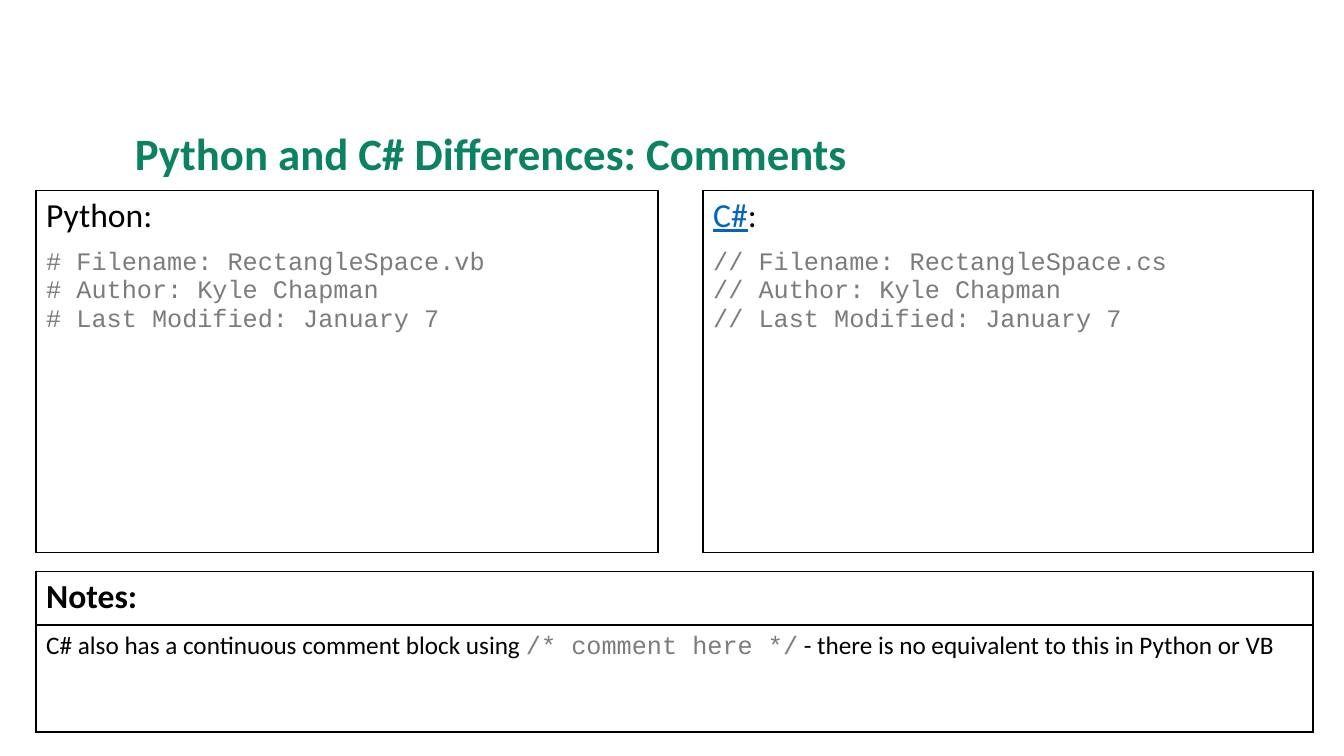
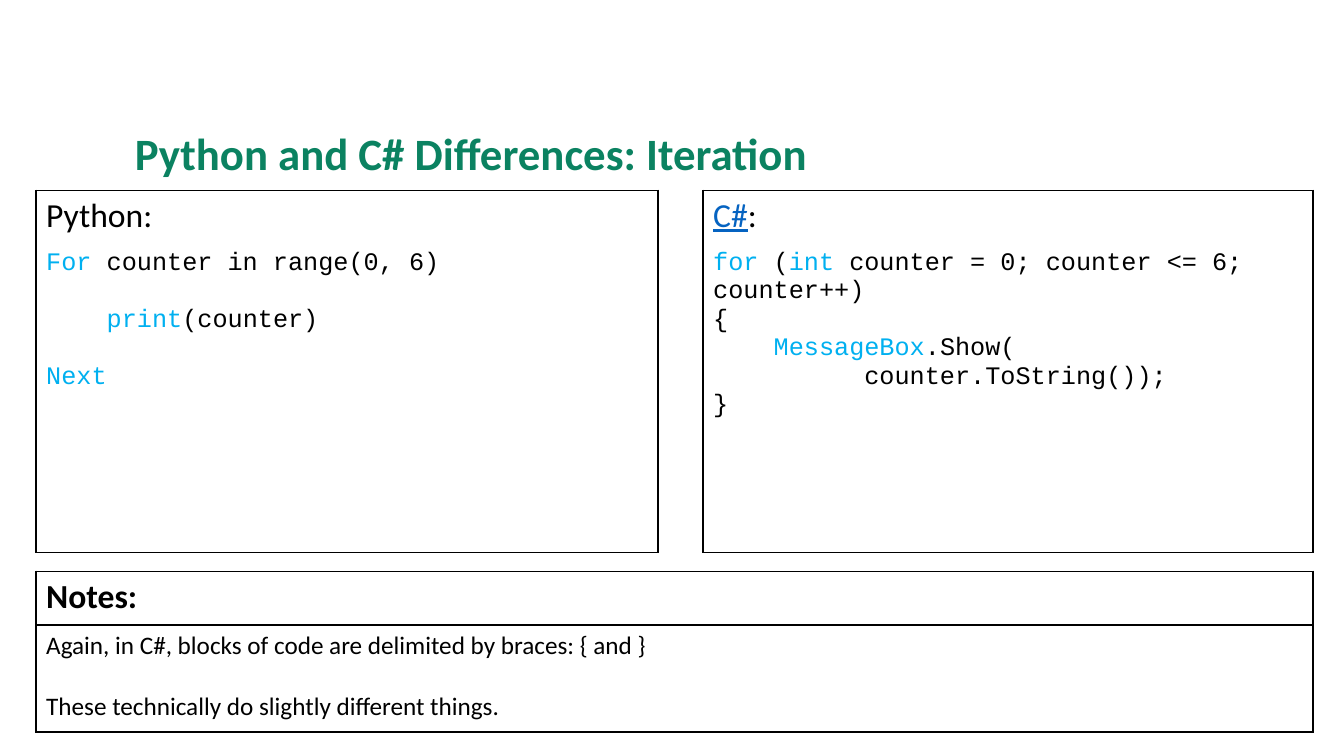
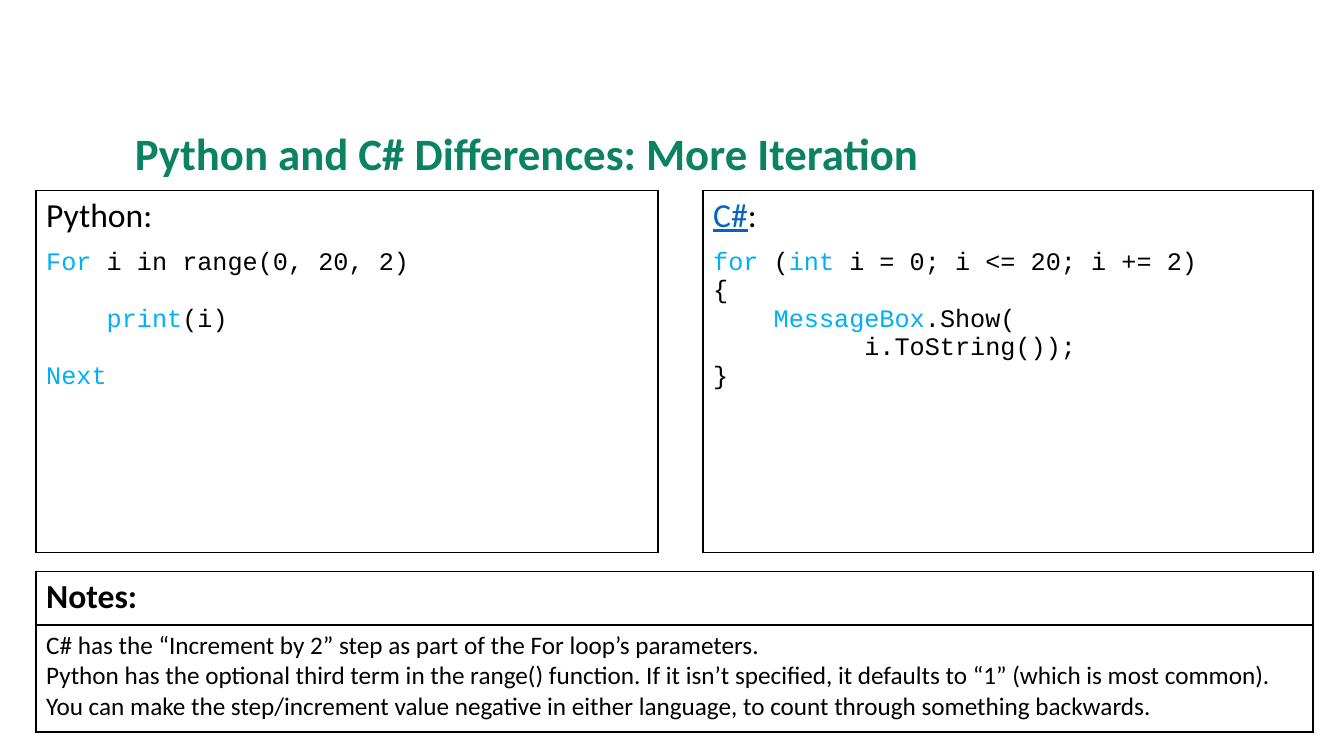
"""Build three slides that compare Python and C# side by side."""
import collections

import lxml.etree
import pptx
import pptx.dml.color
import pptx.oxml.ns
import pptx.util

TextStyle = collections.namedtuple("TextStyle", "font size color bold underline", defaults=(False, False))

STYLES = {
    "title": TextStyle("Calibri", 32, "0B8261", bold=True),
    "heading": TextStyle("Calibri", 24, "000000"),
    "strong": TextStyle("Calibri", 24, "000000", bold=True),
    "link": TextStyle("Calibri", 24, "0563C1", underline=True),
    "note": TextStyle("Calibri", 18, "000000"),
    "code": TextStyle("Courier New", 18, "000000"),
    "keyword": TextStyle("Courier New", 18, "00B0F0"),
    "comment": TextStyle("Courier New", 18, "7C7C7C"),
}
COLUMN_WIDTHS = (15.67, 1.14, 15.37)
ROW_HEIGHTS = (1.35, 7.77, 0.48, 1.35, 2.69)
CELL_EDGES = (
    ("LRT", "LR", "LRT"),
    ("LRB", "LR", "LRB"),
    ("TB", "B", "TB"),
    ("LRT", "T", "RT"),
    ("LRB", "B", "RB"),
)
NO_GRID_STYLE = "{2D5ABB26-0587-4C30-8999-92F81FD0307C}"
CODE_LINE = 20.4
NOTE_LINE = 22


def rgb(value):
    return pptx.dml.color.RGBColor.from_string(value)


def qualified(tag):
    return pptx.oxml.ns.qn(tag)


class ComparisonDeck:
    def __init__(self):
        self.presentation = pptx.Presentation()
        self.presentation.slide_width = pptx.util.Cm(33.87)
        self.presentation.slide_height = pptx.util.Cm(19.05)
        self.slide = None

    def add_slide(self, title):
        self.slide = self.presentation.slides.add_slide(self.presentation.slide_layouts[6])
        box = self.slide.shapes.add_textbox(*map(pptx.util.Cm, (3.15, 3.05, 27.03, 2.49)))
        box.text_frame.word_wrap = True
        self.add_text(box.text_frame, [[(title, "title")]])

    def add_text(self, frame, paragraphs, gap=0):
        for index, runs in enumerate(paragraphs):
            paragraph = frame.add_paragraph() if index else frame.paragraphs[0]
            if index and gap:
                paragraph.space_before = pptx.util.Pt(gap)
            for text, name in runs:
                style = STYLES[name]
                run = paragraph.add_run()
                run.text = text
                run.font.name = style.font
                run.font.size = pptx.util.Pt(style.size)
                run.font.bold = style.bold
                run.font.underline = style.underline
                run.font.color.rgb = rgb(style.color)

    def format_cell(self, cell, edges):
        properties = cell._tc.get_or_add_tcPr()
        for edge in edges:
            line = lxml.etree.SubElement(properties, qualified("a:ln" + edge), w=str(pptx.util.Pt(1.5)))
            fill = lxml.etree.SubElement(line, qualified("a:solidFill"))
            lxml.etree.SubElement(fill, qualified("a:srgbClr"), val="000000")
        cell.fill.background()

    def add_comparison(self, python_code, csharp_code, notes, python_gap=0, notes_gap=0):
        frame = self.slide.shapes.add_table(
            len(ROW_HEIGHTS), len(COLUMN_WIDTHS), pptx.util.Cm(0.91), pptx.util.Cm(4.8),
            pptx.util.Cm(sum(COLUMN_WIDTHS)), pptx.util.Cm(sum(ROW_HEIGHTS)))
        table = frame.table
        table.first_row = table.horz_banding = False
        table._tbl.tblPr.find(qualified("a:tableStyleId")).text = NO_GRID_STYLE
        for column, width in zip(table.columns, COLUMN_WIDTHS):
            column.width = pptx.util.Cm(width)
        for row, height in zip(table.rows, ROW_HEIGHTS):
            row.height = pptx.util.Cm(height)
        for row in (3, 4):
            table.cell(row, 0).merge(table.cell(row, 2))
        contents = {
            (0, 0): ([[("Python:", "heading")]], 0),
            (0, 2): ([[("C#", "link"), (":", "heading")]], 0),
            (1, 0): (python_code, python_gap),
            (1, 2): (csharp_code, 0),
            (3, 0): ([[("Notes:", "strong")]], 0),
            (4, 0): (notes, notes_gap),
        }
        for row, row_edges in enumerate(CELL_EDGES):
            for column, edges in enumerate(row_edges):
                cell = table.cell(row, column)
                self.format_cell(cell, edges)
                if (row, column) in contents:
                    self.add_text(cell.text_frame, *contents[row, column])
                else:
                    paragraph = cell.text_frame.paragraphs[0]
                    lxml.etree.SubElement(paragraph._p, qualified("a:endParaRPr"), sz="400")


def comment_lines(marker, extension):
    lines = (f"Filename: RectangleSpace.{extension}", "Author: Kyle Chapman", "Last Modified: January 7")
    return [[(f"{marker} {line}", "comment")] for line in lines]


def python_loop(variable, limits):
    return [
        [("For", "keyword"), (f" {variable} in range({limits})", "code")],
        [("    print", "keyword"), (f"({variable})", "code")],
        [("Next", "keyword")],
    ]


def csharp_loop(variable, limit, step):
    return [
        [("for", "keyword"), (" (", "code"), ("int", "keyword"),
         (f" {variable} = 0; {variable} <= {limit}; {step})", "code")],
        [("{", "code")],
        [("    MessageBox", "keyword"), (".Show(", "code")],
        [(f"          {variable}.ToString());", "code")],
        [("}", "code")],
    ]


def main():
    deck = ComparisonDeck()

    deck.add_slide("Python and C# Differences: Comments")
    deck.add_comparison(
        comment_lines("#", "vb"),
        comment_lines("//", "cs"),
        [[("C# also has a continuous comment block using ", "note"),
          ("/* comment here */", "comment"),
          (" - there is no equivalent to this in Python or VB", "note")]])

    deck.add_slide("Python and C# Differences: Iteration")
    deck.add_comparison(
        python_loop("counter", "0, 6"),
        csharp_loop("counter", 6, "counter++"),
        [[("Again, in C#, blocks of code are delimited by braces: { and }", "note")],
         [("These technically do slightly different things.", "note")]],
        python_gap=CODE_LINE, notes_gap=NOTE_LINE)

    deck.add_slide("Python and C# Differences: More Iteration")
    deck.add_comparison(
        python_loop("i", "0, 20, 2"),
        csharp_loop("i", 20, "i += 2"),
        [[("C# has the “Increment by 2” step as part of the For loop’s parameters.", "note")],
         [("Python has the optional third term in the range() function. "
           "If it isn’t specified, it defaults to “1” (which is most common).", "note")],
         [("You can make the step/increment value negative in either language, "
           "to count through something backwards.", "note")]],
        python_gap=CODE_LINE)

    deck.presentation.save("out.pptx")


if __name__ == "__main__":
    main()
